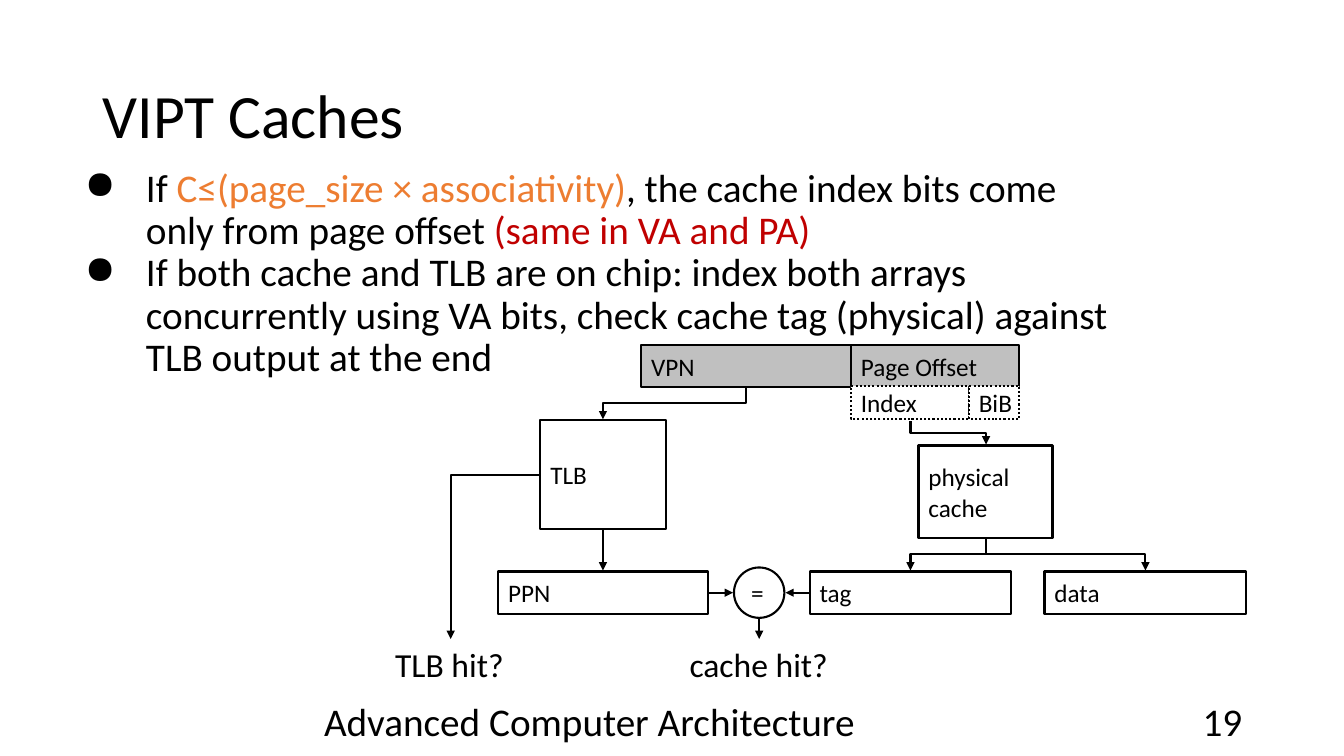
from dataclasses import dataclass

from lxml.etree import SubElement
from pptx import Presentation
from pptx.dml.color import RGBColor
from pptx.enum.dml import MSO_LINE
from pptx.enum.shapes import MSO_CONNECTOR, MSO_SHAPE
from pptx.enum.text import MSO_ANCHOR, PP_ALIGN
from pptx.oxml.ns import qn
from pptx.shapes.connector import Connector
from pptx.slide import Slide
from pptx.text.text import Font
from pptx.util import Inches, Pt


@dataclass(frozen=True)
class Theme:
    font: str = "Calibri"
    black: str = "000000"
    white: str = "FFFFFF"
    gray: str = "C0C0C0"
    orange: str = "ED7D31"
    red: str = "C00000"
    title_size: int = 44
    body_size: int = 28
    result_size: int = 24
    box_size: int = 18
    line_width: float = 1.5


@dataclass(frozen=True)
class Box:
    text: str
    left: float
    top: float
    width: float
    height: float
    fill: str = "FFFFFF"
    dotted: bool = False
    kind: MSO_SHAPE = MSO_SHAPE.RECTANGLE


@dataclass(frozen=True)
class Label:
    text: str
    left: float
    top: float
    width: float
    height: float
    size: int
    align: PP_ALIGN = PP_ALIGN.LEFT
    anchor: MSO_ANCHOR = MSO_ANCHOR.MIDDLE
    wrap: bool = True


@dataclass(frozen=True)
class Arrow:
    start: tuple[float, float]
    end: tuple[float, float]


THEME = Theme()

LABELS = [
    Label("VIPT Caches", 0.92, 0.4, 11.5, 1.45, THEME.title_size),
    Label("19", 9.42, 6.95, 3, 0.4, THEME.body_size, PP_ALIGN.RIGHT),
    Label("Advanced Computer Architecture", 2.82, 6.95, 6.05, 0.4,
          THEME.body_size, PP_ALIGN.CENTER),
    Label("cache hit?", 6.74, 6.34, 1.59, 0.51, THEME.result_size,
          anchor=MSO_ANCHOR.TOP, wrap=False),
    Label("TLB hit?", 3.82, 6.34, 1.29, 0.51, THEME.result_size,
          anchor=MSO_ANCHOR.TOP, wrap=False),
]

BULLETS = [
    [("If ", THEME.black),
     ("C≤(page_size × associativity)", THEME.orange),
     (", the cache index bits come only from page offset ", THEME.black),
     ("(same in VA and PA)", THEME.red)],
    [("If both cache and TLB are on chip: index both arrays concurrently using VA bits, "
      "check cache tag (physical) against TLB output at the end", THEME.black)],
]

BOXES = [
    Box("VPN", 6.36, 3.42, 2.08, 0.42, THEME.gray),
    Box("Page Offset", 8.44, 3.42, 1.67, 0.42, THEME.gray),
    Box("TLB", 5.36, 4.17, 1.25, 1.08),
    Box("PPN", 4.94, 5.67, 2.08, 0.42),
    Box("Index", 8.44, 3.83, 1.17, 0.33, dotted=True),
    Box("BiB", 9.61, 3.83, 0.5, 0.33, dotted=True),
    Box("physical\ncache", 9.11, 4.42, 1.33, 0.92),
    Box("tag", 8.03, 5.67, 2, 0.42),
    Box("data", 10.36, 5.67, 2, 0.42),
    Box("=", 7.28, 5.63, 0.5, 0.5, kind=MSO_SHAPE.OVAL),
]

STRAIGHT_ARROWS = [
    Arrow((5.98, 5.26), (5.98, 5.66)),  # TLB to PPN
    Arrow((7.03, 5.88), (7.27, 5.88)),  # PPN to comparator
    Arrow((8.02, 5.88), (7.79, 5.88)),  # tag to comparator
    Arrow((7.53, 6.13), (7.53, 6.34)),  # comparator to cache hit
]

STEP_ARROWS = [
    Arrow((7.4, 3.84), (5.98, 4.16)),   # VPN to TLB
    Arrow((9.03, 4.18), (9.78, 4.41)),  # Index to cache
    Arrow((9.78, 5.34), (9.03, 5.66)),  # cache to tag
    Arrow((9.78, 5.34), (11.36, 5.66)),  # cache to data
]

TLB_HIT_ARROW = Arrow((5.36, 4.71), (4.47, 6.34))


def style_font(font: Font, size: int, color: str = THEME.black) -> None:
    font.name = THEME.font
    font.size = Pt(size)
    font.color.rgb = RGBColor.from_string(color)


def add_label(slide: Slide, label: Label) -> None:
    shape = slide.shapes.add_textbox(Inches(label.left), Inches(label.top),
                                     Inches(label.width), Inches(label.height))
    frame = shape.text_frame
    frame.word_wrap = label.wrap
    frame.vertical_anchor = label.anchor
    frame.text = label.text
    paragraph = frame.paragraphs[0]
    paragraph.alignment = label.align
    style_font(paragraph.runs[0].font, label.size)


def add_bullets(slide: Slide) -> None:
    shape = slide.shapes.add_textbox(Inches(0.68), Inches(1.57), Inches(10.6), Inches(5.68))
    frame = shape.text_frame
    frame.word_wrap = True
    frame.margin_top = frame.margin_bottom = Inches(0.1)
    for index, parts in enumerate(BULLETS):
        paragraph = frame.add_paragraph() if index else frame.paragraphs[0]
        paragraph.line_spacing = 0.9
        properties = paragraph._p.get_or_add_pPr()
        properties.set("marL", str(Inches(0.67)))
        properties.set("indent", str(Inches(-0.61)))
        SubElement(properties, qn("a:buChar")).set("char", "●")
        for text, color in parts:
            run = paragraph.add_run()
            run.text = text
            style_font(run.font, THEME.body_size, color)


def add_box(slide: Slide, box: Box) -> None:
    shape = slide.shapes.add_shape(box.kind, Inches(box.left), Inches(box.top),
                                   Inches(box.width), Inches(box.height))
    shape.shadow.inherit = False
    shape.fill.solid()
    shape.fill.fore_color.rgb = RGBColor.from_string(box.fill)
    shape.line.color.rgb = RGBColor.from_string(THEME.black)
    shape.line.width = Pt(THEME.line_width)
    if box.dotted:
        shape.line.dash_style = MSO_LINE.ROUND_DOT
    frame = shape.text_frame
    frame.word_wrap = False
    frame.vertical_anchor = MSO_ANCHOR.MIDDLE
    frame.text = box.text
    for paragraph in frame.paragraphs:
        paragraph.alignment = PP_ALIGN.LEFT
        style_font(paragraph.runs[0].font, THEME.box_size)


def add_arrow(slide: Slide, kind: MSO_CONNECTOR, arrow: Arrow, rotation: int = 0) -> Connector:
    points = [Inches(value) for value in (*arrow.start, *arrow.end)]
    connector = slide.shapes.add_connector(kind, *points)
    connector.line.color.rgb = RGBColor.from_string(THEME.black)
    connector.line.width = Pt(THEME.line_width)
    SubElement(connector.line._get_or_add_ln(), qn("a:tailEnd")).set("type", "triangle")
    properties = connector._element.spPr
    SubElement(properties, qn("a:effectLst"))
    if rotation:
        properties.find(qn("a:xfrm")).set("rot", str(rotation * 60000))
    return connector


def add_step_arrow(slide: Slide, arrow: Arrow) -> None:
    """Draw a down-across-down arrow as a turned elbow connector."""
    (x1, y1), (x2, y2) = arrow.start, arrow.end
    middle_x, middle_y = (x1 + x2) / 2, (y1 + y2) / 2
    half_width, half_height = (y2 - y1) / 2, abs(x2 - x1) / 2
    rightward = x2 > x1
    reach = half_width if rightward else -half_width
    turned = Arrow((middle_x + reach, middle_y - half_height),
                   (middle_x - reach, middle_y + half_height))
    add_arrow(slide, MSO_CONNECTOR.ELBOW, turned, 270 if rightward else 90)


def add_corner_arrow(slide: Slide, arrow: Arrow) -> None:
    """Draw an across-then-down arrow with a single bend."""
    connector = add_arrow(slide, MSO_CONNECTOR.ELBOW, Arrow(arrow.end, arrow.start), 180)
    connector._element.spPr.find(qn("a:prstGeom")).set("prst", "bentConnector2")


def main() -> None:
    presentation = Presentation()
    presentation.slide_width, presentation.slide_height = Inches(13.33), Inches(7.5)
    slide = presentation.slides.add_slide(presentation.slide_layouts[6])
    # Text
    add_bullets(slide)
    for label in LABELS:
        add_label(slide, label)
    # Lookup diagram
    for box in BOXES:
        add_box(slide, box)
    for arrow in STRAIGHT_ARROWS:
        add_arrow(slide, MSO_CONNECTOR.STRAIGHT, arrow)
    for arrow in STEP_ARROWS:
        add_step_arrow(slide, arrow)
    add_corner_arrow(slide, TLB_HIT_ARROW)
    presentation.save("out.pptx")


if __name__ == "__main__":
    main()
